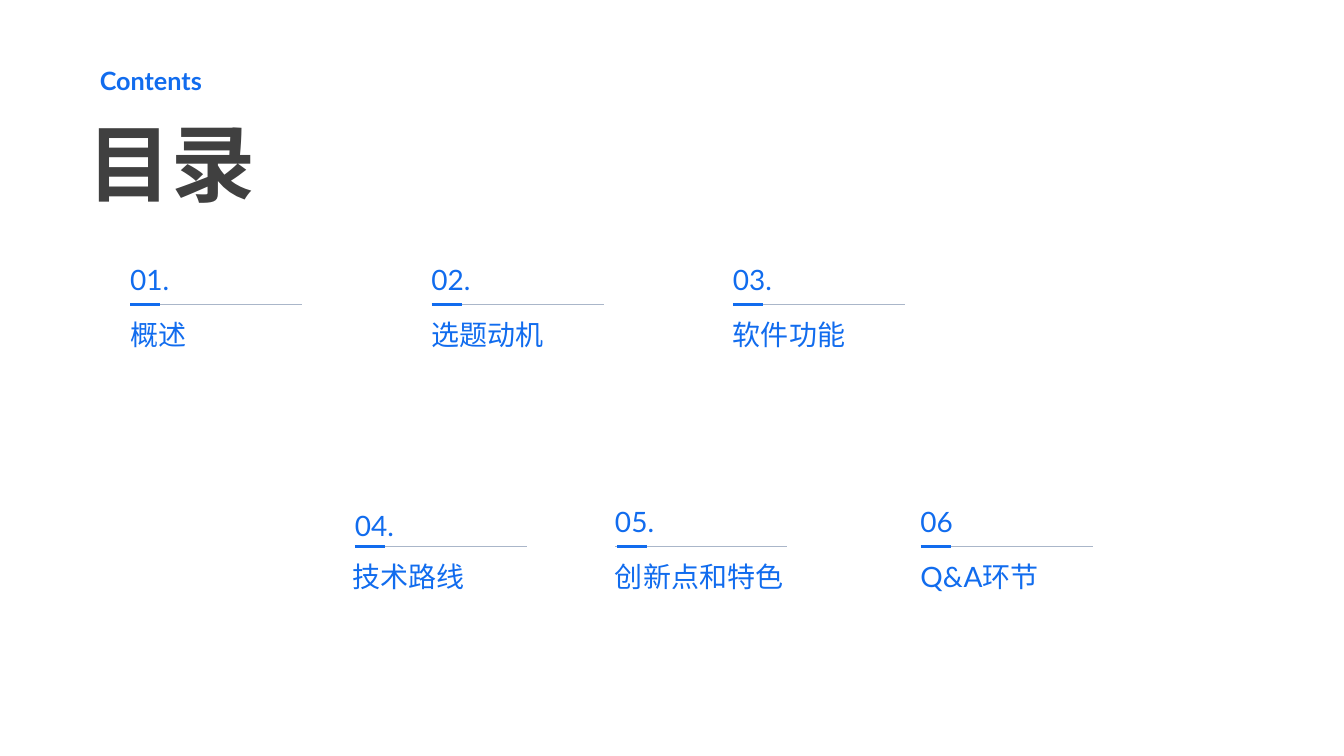
import pptx
import pptx.util
import pptx.dml.color
import pptx.enum.shapes
import pptx.enum.text
import pptx.oxml

Inches = pptx.util.Inches
Pt = pptx.util.Pt
RGBColor = pptx.dml.color.RGBColor
ANCHOR = pptx.enum.text.MSO_ANCHOR

BLUE = RGBColor(0x11, 0x6C, 0xEE)
GRAY = RGBColor(0xAA, 0xB6, 0xC9)
DARK = RGBColor(0x40, 0x40, 0x40)
FONT = "Lato"
TOP, LOW = 3.02, 5.42
ITEMS = [
    ("01.", "概述", 1.29, TOP, {}),
    ("02.", "选题动机", 4.28, TOP, {}),
    ("03.", "软件功能", 7.27, TOP, {}),
    ("04.", "技术路线", 3.52, LOW, {"drop": 0.04, "shift": -0.02}),
    ("05.", "创新点和特色", 6.1, LOW, {"inset": 0.02}),
    ("06", "Q&A环节", 9.13, LOW, {}),
]


def style(shape, text, size, color, bold=False, anchor=ANCHOR.BOTTOM, left=0):
    """Fill a shape with one left-aligned paragraph."""
    frame = shape.text_frame
    frame.text = text
    frame.word_wrap = True
    frame.auto_size = pptx.enum.text.MSO_AUTO_SIZE.NONE
    frame.vertical_anchor = anchor
    frame.margin_left = Inches(left)
    frame.margin_right = frame.margin_top = frame.margin_bottom = 0
    para = frame.paragraphs[0]
    para.alignment = pptx.enum.text.PP_ALIGN.LEFT
    para.font.name = FONT
    para.font.size = Pt(size)
    para.font.bold = bold
    para.font.color.rgb = color


def label(slide, text, x, y, w, h, size=20, **look):
    """Add a blue text box."""
    box = slide.shapes.add_textbox(Inches(x), Inches(y), Inches(w), Inches(h))
    style(box, text, size, BLUE, **look)


def rule(slide, x, y, w, color, width):
    """Draw a level line from a left end."""
    line = slide.shapes.add_connector(
        pptx.enum.shapes.MSO_CONNECTOR.STRAIGHT,
        Inches(x), Inches(y), Inches(x + w), Inches(y))
    line.line.color.rgb = color
    line.line.width = Pt(width)
    props = line._element.spPr
    props.append(pptx.oxml.parse_xml(
        '<a:effectLst xmlns:a="http://schemas.openxmlformats.org/drawingml/2006/main"/>'))


def head(slide, x, y, w):
    """Place the small heading and the title below it."""
    label(slide, "Contents", x, y, w, 0.38, 18, bold=True, left=0.12)
    title = slide.shapes.title
    title.left, title.top = Inches(x), Inches(y + 0.38)
    title.width, title.height = Inches(w), Inches(1.16)
    style(title, "目录", 60, DARK, bold=True)


def entry(slide, number, name, x, y, drop=0, shift=0, inset=0):
    """Place a numbered entry around its rule at x, y."""
    rule(slide, x, y, 1.71, GRAY, 0.75)
    rule(slide, x + inset, y, 0.3, BLUE, 2.25)
    label(slide, number, x, y - 0.59 + drop, 0.76, 0.51)
    label(slide, name, x + shift, y + 0.13, 2.14, 1.46, anchor=ANCHOR.TOP)


def main():
    """Build and save the contents slide."""
    deck = pptx.Presentation()
    deck.slide_width, deck.slide_height = Inches(13.33), Inches(7.5)
    slide = deck.slides.add_slide(deck.slide_layouts[5])
    head(slide, 0.87, 0.57, 2.04)
    for number, name, x, y, tweak in ITEMS:
        entry(slide, number, name, x, y, **tweak)
    deck.save("out.pptx")


if __name__ == "__main__":
    main()
